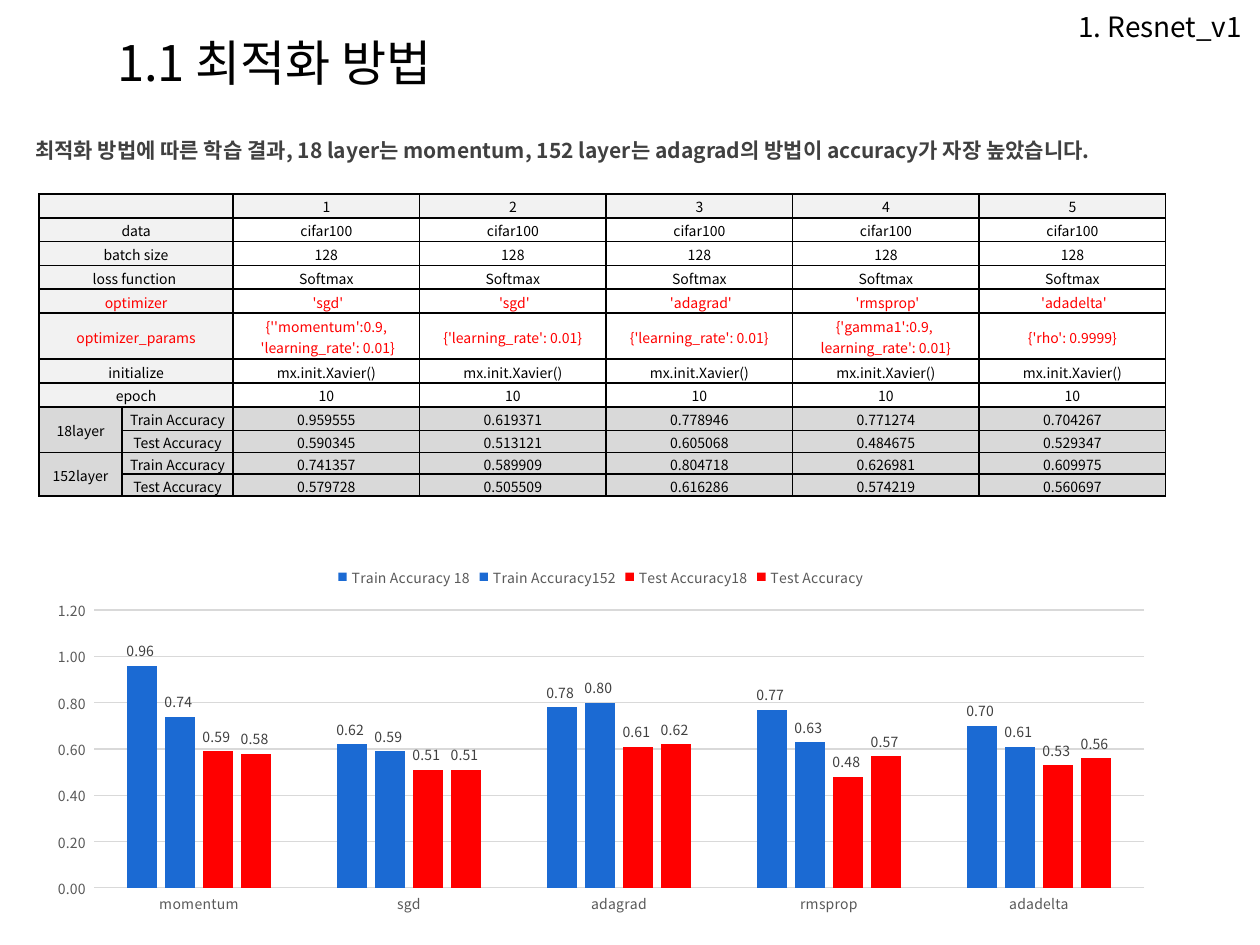
from lxml.etree import SubElement
from pptx import Presentation
from pptx.chart.data import CategoryChartData as ChartData
from pptx.dml.color import RGBColor as RGB
from pptx.enum.chart import XL_CHART_TYPE as CHART, XL_LABEL_POSITION as LABEL
from pptx.enum.chart import XL_LEGEND_POSITION as LEGEND, XL_TICK_MARK as TICK
from pptx.enum.text import MSO_ANCHOR as ANCHOR, PP_ALIGN as ALIGN
from pptx.oxml.ns import qn
from pptx.util import Cm, Pt

FONT = "Noto Sans CJK KR"
NUMBER_FORMAT = r"0.00_);[Red]\(0.00\)"
COLORS = {
    "black": "000000", "white": "FFFFFF", "red": "FF0000", "blue": "1B6AD3",
    "text": "404040", "axis": "595959", "grid": "D9D9D9",
    "header": "F2F2F2", "result": "D9D9D9",
}
SETTINGS = [
    ["", "1", "2", "3", "4", "5"],
    ["data"] + ["cifar100"] * 5,
    ["batch size"] + ["128"] * 5,
    ["loss function "] + ["Softmax"] * 5,
    ["optimizer", " 'sgd'", " 'sgd'", " 'adagrad'", " 'rmsprop'", " 'adadelta'"],
    ["optimizer_params", "{''momentum':0.9,\n 'learning_rate': 0.01}",
     "{'learning_rate': 0.01}", "{'learning_rate': 0.01}",
     "{'gamma1':0.9, \nlearning_rate': 0.01}", "{'rho': 0.9999}"],
    ["initialize"] + ["mx.init.Xavier()"] * 5,
    ["epoch"] + ["10"] * 5,
]
RESULTS = [
    ["18layer", "Train Accuracy", "0.959555", "0.619371", "0.778946", "0.771274", "0.704267"],
    ["", "Test Accuracy", "0.590345", "0.513121", "0.605068", "0.484675", "0.529347"],
    ["152layer", "Train Accuracy", "0.741357", "0.589909", "0.804718", "0.626981", "0.609975"],
    ["", "Test Accuracy", "0.579728", "0.505509", "0.616286", "0.574219", "0.560697"],
]
RED_ROWS = ("optimizer", "optimizer_params")
OPTIMIZERS = ["momentum", "sgd", "adagrad", "rmsprop", "adadelta"]
SERIES = [
    ("Train Accuracy 18", RESULTS[0], "blue"),
    ("Train Accuracy152", RESULTS[2], "blue"),
    ("Test Accuracy18", RESULTS[1], "red"),
    ("Test Accuracy", RESULTS[3], "red"),
]


def rgb(name):
    """Return the named colour."""
    return RGB.from_string(COLORS[name])


def style_font(font, size, color, bold=False):
    """Set typeface, size, colour and weight of a font."""
    font.name, font.size, font.bold = FONT, Pt(size), bold
    font.color.rgb = rgb(color)


def style_runs(tf, size, color, bold=False, align=ALIGN.LEFT):
    """Format every run of a text frame for Latin and Korean script."""
    for p in tf.paragraphs:
        p.alignment = align
        for r in p.runs:
            style_font(r.font, size, color, bold)
            SubElement(r.font._element, qn("a:ea"), typeface=FONT)


def add_text(slide, text, box, size, color="black", bold=False, align=ALIGN.LEFT):
    """Add a wrapping text box and return its text frame."""
    tf = slide.shapes.add_textbox(*map(Cm, box)).text_frame
    tf.text = text
    tf.word_wrap = True
    tf.vertical_anchor = ANCHOR.MIDDLE
    style_runs(tf, size, color, bold, align)
    return tf


def add_borders(cell):
    """Draw a thin black line on all four sides of a cell."""
    tc_pr = cell._tc.get_or_add_tcPr()
    for i, side in enumerate(("lnL", "lnR", "lnT", "lnB")):
        ln = tc_pr.makeelement(qn(f"a:{side}"), {"w": str(Pt(1))})
        fill = SubElement(ln, qn("a:solidFill"))
        SubElement(fill, qn("a:srgbClr"), val=COLORS["black"])
        tc_pr.insert(i, ln)


def fill_cell(cell, text, fill, color):
    """Write and format one table cell."""
    cell.text = text
    cell.margin_left = cell.margin_right = cell.margin_top = Cm(0.03)
    cell.margin_bottom = 0
    cell.vertical_anchor = ANCHOR.MIDDLE
    cell.fill.solid()
    cell.fill.fore_color.rgb = rgb(fill)
    style_runs(cell.text_frame, 8, color, align=ALIGN.CENTER)
    if not text:
        SubElement(cell.text_frame.paragraphs[0]._p, qn("a:endParaRPr"), sz="800")
    add_borders(cell)


def add_settings_table(slide):
    """Add the table of training settings and accuracies."""
    rows = [[row[0], ""] + row[1:] for row in SETTINGS] + RESULTS
    widths = [1.67, 2.24] + [3.76] * 5
    heights = [0.48] * 5 + [0.93] + [0.48] * 3 + [0.44] * 3
    frame = slide.shapes.add_table(len(rows), len(widths), Cm(0.79), Cm(3.91),
                                   Cm(sum(widths)), Cm(sum(heights)))
    table = frame.table
    for column, width in zip(table.columns, widths):
        column.width = Cm(width)
    for i, (row, height) in enumerate(zip(rows, heights)):
        table.rows[i].height = Cm(height)
        color = "red" if row[0] in RED_ROWS else "black"
        for j, text in enumerate(row):
            if i >= len(SETTINGS):
                fill = "result"
            else:
                fill = "header" if i == 0 or j < 2 else "white"
            fill_cell(table.cell(i, j), text, fill, color)
    for i in range(len(SETTINGS)):
        table.cell(i, 0).merge(table.cell(i, 1))
    for i in range(len(SETTINGS), len(rows), 2):
        table.cell(i, 0).merge(table.cell(i + 1, 0))


def style_axis(axis):
    """Give an axis small grey labels and no tick marks."""
    axis.major_tick_mark = axis.minor_tick_mark = TICK.NONE
    style_font(axis.tick_labels.font, 8, "axis")


def style_series(series, color):
    """Colour a series and label its columns."""
    series.format.fill.solid()
    series.format.fill.fore_color.rgb = rgb(color)
    labels = series.data_labels
    labels.show_value = True
    labels.position = LABEL.OUTSIDE_END
    labels.number_format, labels.number_format_is_linked = NUMBER_FORMAT, False
    style_font(labels.font, 8, "text")


def add_accuracy_chart(slide):
    """Add the column chart of accuracy by optimizer."""
    data = ChartData(number_format=NUMBER_FORMAT)
    data.categories = OPTIMIZERS
    for name, row, _ in SERIES:
        data.add_series(name, [round(float(value), 2) for value in row[2:]])
    chart = slide.shapes.add_chart(CHART.COLUMN_CLUSTERED, Cm(0.71), Cm(11.13),
                                   Cm(22.81), Cm(7.44), data).chart
    style_font(chart.font, 8, "black")
    chart.has_title = False
    chart.has_legend = True
    chart.legend.position = LEGEND.TOP
    chart.legend.include_in_layout = False
    style_font(chart.legend.font, 8, "axis")

    plot = chart.plots[0]
    plot.gap_width, plot.overlap, plot.vary_by_categories = 219, -27, False
    for series, (_, _, color) in zip(plot.series, SERIES):
        style_series(series, color)

    category, value = chart.category_axis, chart.value_axis
    style_axis(category)
    style_axis(value)
    value.minimum_scale, value.maximum_scale, value.major_unit = 0, 1.2, 0.2
    value.tick_labels.number_format = NUMBER_FORMAT
    value.tick_labels.number_format_is_linked = False
    value.format.line.fill.background()
    for line in (category.format.line, value.major_gridlines.format.line):
        line.color.rgb = rgb("grid")
        line.width = Pt(0.75)


def main():
    """Build the slide and save it."""
    prs = Presentation()
    prs.slide_width, prs.slide_height = Cm(25.4), Cm(19.05)
    slide = prs.slides.add_slide(prs.slide_layouts[6])
    add_text(slide, "1. Resnet_v1", (17.09, 0.13, 8.2, 0.81), 16, align=ALIGN.RIGHT)
    add_settings_table(slide)
    add_text(slide, "1.1 최적화 방법", (2.11, 0.53, 19, 1.45), 28)
    tf = add_text(slide, "최적화 방법에 따른 학습 결과, 18 layer는 momentum, 152 layer는 "
                  "adagrad의 방법이 accuracy가 자장 높았습니다.",
                  (0.71, 2.51, 24, 0.69), 12, "text", bold=True)
    tf.margin_left = tf.margin_right = tf.margin_top = tf.margin_bottom = 0
    tf.vertical_anchor = ANCHOR.TOP
    tf.paragraphs[0].line_spacing = 1.5
    add_accuracy_chart(slide)
    prs.save("out.pptx")


if __name__ == "__main__":
    main()
